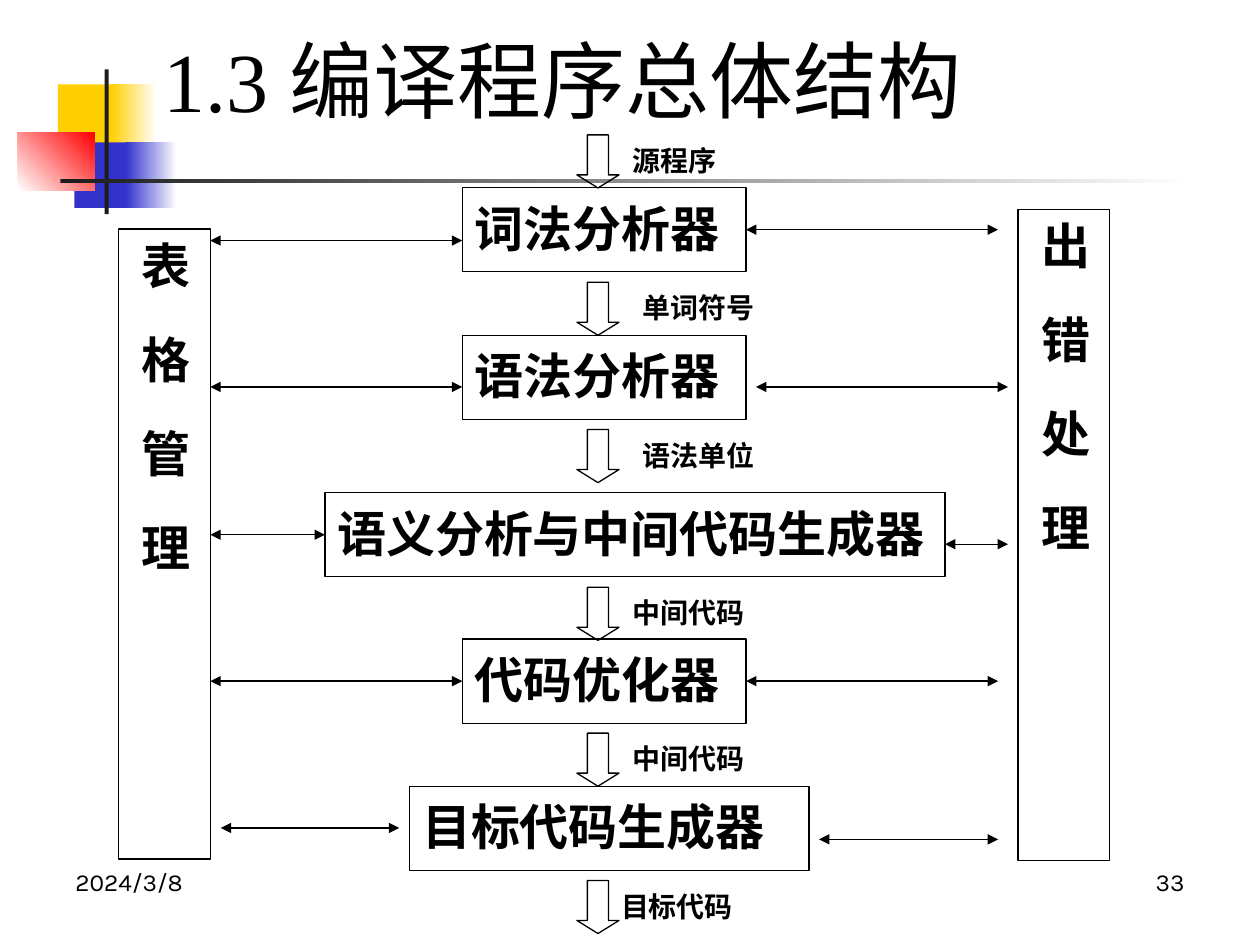
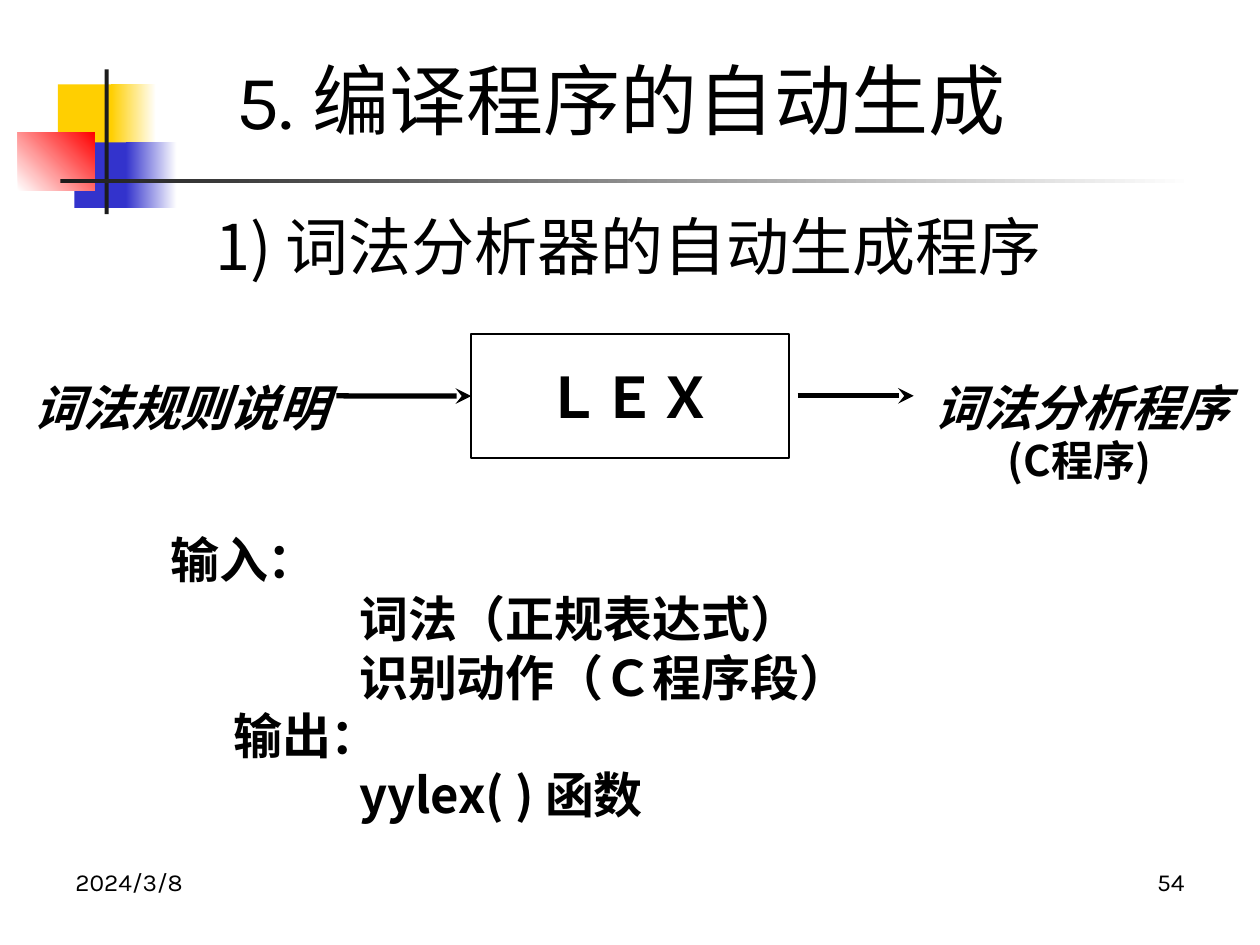
from dataclasses import dataclass

from lxml import etree
from pptx import Presentation
from pptx.dml.color import RGBColor
from pptx.enum.shapes import MSO_CONNECTOR, MSO_SHAPE
from pptx.enum.text import MSO_ANCHOR, PP_ALIGN
from pptx.oxml.ns import qn
from pptx.util import Cm, Pt

RECT, DOWN = MSO_SHAPE.RECTANGLE, MSO_SHAPE.DOWN_ARROW
LINE = MSO_CONNECTOR.STRAIGHT
TOP, MID = MSO_ANCHOR.TOP, MSO_ANCHOR.MIDDLE
LEFT, CENTER, RIGHT = PP_ALIGN.LEFT, PP_ALIGN.CENTER, PP_ALIGN.RIGHT


@dataclass(frozen=True)
class Theme:
    """Colours, fonts and type sizes of the deck."""
    ink: str = "000000"
    bar: str = "1C1C1C"
    gold: str = "FFCF01"
    blue: str = "3333CC"
    red: str = "FF0000"
    white: str = "FFFFFF"
    serif: str = "Times New Roman"
    sans: str = "Karla"
    han: str = "Noto Sans CJK SC"
    head: int = 48
    title: int = 44
    lead: int = 36
    tool: int = 32
    box: int = 28
    note: int = 24
    label: int = 16
    foot: int = 14
    pitch: float = 1.29
    tight: float = 1.2


class Deck:
    """Holds the style and the slide being drawn."""

    def __init__(self, theme):
        """Open an empty deck."""
        self.look = theme
        self.file = Presentation()
        self.file.slide_width, self.file.slide_height = Cm(25.4), Cm(19.05)
        self.page = None

    def start(self, num):
        """Add a slide with the shared bands and footer."""
        look = self.look
        self.page = self.file.slides.add_slide(self.file.slide_layouts[6])
        bands = [
            ((1.17, 1.7, 1.22, 1.32), (look.gold,), 0),
            ((2.24, 1.7, 0.91, 1.32), (look.gold, look.white), 0),
            ((1.5, 2.87, 1.17, 1.32), (look.blue,), 0),
            ((2.54, 2.87, 1.02, 1.32), (look.blue, look.white), 0),
            ((0.36, 2.67, 1.55, 1.17), (look.white, look.red), 45),
            ((2.11, 1.4, 0.08, 2.92), (look.bar,), 0),
            ((1.22, 3.61, 22.86, 0.08), (look.bar, look.white), 0),
        ]
        for area, tones, angle in bands:
            self.band(area, tones, angle)
        form = {"name": look.sans, "size": look.foot}
        self.text((1.27, 17.35, 5.92, 1.32), ["2024/3/8"], form)
        self.text((18.21, 17.35, 5.92, 1.32), [num], form, align=RIGHT)

    def band(self, area, tones, angle):
        """Draw a plain or fading block."""
        block = self.shape(RECT, area)
        block.line.fill.background()
        if len(tones) == 1:
            block.fill.solid()
            block.fill.fore_color.rgb = RGBColor.from_string(tones[0])
            return
        block.fill.gradient()
        block.fill.gradient_angle = angle
        for stop, tone in zip(block.fill.gradient_stops, tones):
            stop.color.rgb = RGBColor.from_string(tone)

    def shape(self, kind, area, width=0.75):
        """Draw an outlined shape without fill."""
        item = self.page.shapes.add_shape(kind, *map(Cm, area))
        item.shadow.inherit = False
        item.fill.background()
        item.line.color.rgb = RGBColor.from_string(self.look.ink)
        item.line.width = Pt(width)
        return item

    def text(self, area, lines, form, **more):
        """Add a text box."""
        item = self.page.shapes.add_textbox(*map(Cm, area))
        self.put(item, lines, form, **more)

    def put(self, item, lines, form, align=LEFT, anchor=TOP, pitch=None,
            gap=0, shifts=(0,)):
        """Fill a shape with paragraphs."""
        frame = item.text_frame
        frame.word_wrap, frame.vertical_anchor = True, anchor
        for i, words in enumerate(lines):
            para = frame.add_paragraph() if i else frame.paragraphs[0]
            para.alignment = align
            if pitch:
                para.line_spacing = Pt(round(form["size"] * pitch, 1))
            if shifts[i]:
                props = para._p.get_or_add_pPr()
                props.set("marL", str(Cm(shifts[i])))
                props.set("indent", "0")
            run = para.add_run()
            run.text = words
            for key, value in {**form, "size": Pt(form["size"])}.items():
                setattr(run.font, key, value)
            run.font.color.rgb = RGBColor.from_string(self.look.ink)
            props = run._r.get_or_add_rPr()
            if gap:
                props.set("spc", str(gap))
            etree.SubElement(props, qn("a:ea")).set("typeface", self.look.han)

    def box(self, area, words, form, width=0.75, **more):
        """Draw a captioned rectangle."""
        item = self.shape(RECT, area, width)
        self.put(item, [words], form, **more)
        return item

    def pillar(self, area, words):
        """Draw a tall box with spaced vertical text."""
        form = {"name": self.look.han, "size": self.look.box, "bold": True}
        item = self.box(area, words, form, anchor=MID, gap=2570)
        item.text_frame._txBody.bodyPr.set("vert", "eaVert")

    def arrow(self, x1, x2, y, ends, width=0.75, begin=None, end=None):
        """Draw a level arrow, joined to a box where one is given."""
        item = self.page.shapes.add_connector(
            LINE, Cm(x1), Cm(y), Cm(x2), Cm(y))
        item.line.color.rgb = RGBColor.from_string(self.look.ink)
        item.line.width = Pt(width)
        line = item.line._get_or_add_ln()
        for tag, kind in ends.items():
            etree.SubElement(line, qn(f"a:{tag}")).set("type", kind)
        etree.SubElement(item._element.spPr, qn("a:effectLst"))
        if begin:
            item.begin_connect(begin, 3)
        if end:
            item.end_connect(end, 1)

    def flow(self, top, left, words):
        """Draw a block arrow with its label."""
        item = self.shape(DOWN, (11.63, top, 0.85, 1.07))
        item.adjustments[0], item.adjustments[1] = 0.5, 0.31
        form = {"name": self.look.serif, "size": self.look.label, "bold": True}
        self.text((left, top, 3.38, 0.85), [words], form,
                  pitch=self.look.pitch)


def layout(deck):
    """Build the slide on the structure of a compiler."""
    look = deck.look
    deck.start("33")
    deck.text((3.05, 0.64, 20.47, 1.9), ["1.3 编译程序总体结构"],
              {"name": look.serif, "size": look.head}, anchor=MID)
    deck.pillar((2.39, 4.62, 1.85, 12.7), "表格管理")
    deck.pillar((20.52, 4.22, 1.85, 13.13), "出错处理")
    stages = [
        ("词法分析器", (9.32, 3.78, 5.72),
         (4.24, 9.32, 4.85, False), (15.04, 20.12, 4.63, True)),
        ("语法分析器", (9.32, 6.76, 5.72),
         (4.24, 9.32, 7.8, False), (15.24, 20.32, 7.8, False)),
        ("语义分析与中间代码生成器", (6.55, 9.93, 12.5),
         (4.24, 6.55, 10.78, True), (19.05, 20.32, 10.97, False)),
        ("代码优化器", (9.32, 12.88, 5.72),
         (4.24, 9.32, 13.73, True), (15.04, 20.12, 13.73, True)),
        ("目标代码生成器", (8.26, 15.85, 8.05),
         (4.45, 8.05, 16.69, False), (16.51, 20.12, 16.92, False)),
    ]
    form = {"name": look.serif, "size": look.box, "bold": True}
    ends = {"headEnd": "triangle", "tailEnd": "triangle"}
    for words, place, west, east in stages:
        item = deck.box((*place, 1.7), words, form, pitch=look.pitch)
        deck.arrow(*west[:3], ends, end=item if west[3] else None)
        deck.arrow(*east[:3], ends, begin=item if east[3] else None)
    flows = [
        (2.72, 12.5, "源程序"), (5.69, 12.7, "单词符号"),
        (8.66, 12.7, "语法单位"), (11.84, 12.5, "中间代码"),
        (14.78, 12.5, "中间代码"), (17.75, 12.27, "目标代码"),
    ]
    for flow in flows:
        deck.flow(*flow)


def lexer(deck):
    """Build the slide on generating a lexer."""
    look = deck.look
    deck.start("54")
    deck.text((4.52, 1.12, 19.56, 1.75), ["5. 编译程序的自动生成"],
              {"name": look.sans, "size": look.title}, anchor=MID)
    deck.text((4.09, 3.94, 18.19, 1.9), ["1) 词法分析器的自动生成程序"],
              {"name": look.han, "size": look.lead}, pitch=look.pitch)
    bold = {"name": look.serif, "size": look.tool, "bold": True}
    tool = deck.box((9.5, 6.73, 6.4, 2.51), "ＬＥＸ", bold, width=1,
                    align=CENTER, anchor=MID)
    ends = {"tailEnd": "stealth"}
    deck.arrow(6.78, 9.5, 7.98, ends, width=3, end=tool)
    deck.arrow(16.08, 18.42, 7.98, ends, width=3)
    slant = {**bold, "size": look.box, "italic": True}
    for left, width, words in [(0.43, 8.74, "词法规则说明"),
                               (18.59, 6.81, "词法分析程序")]:
        deck.text((left, 7.39, width, 1.45), [words], slant, pitch=look.pitch)
    note = {"name": look.han, "size": look.note, "bold": True}
    deck.text((20.07, 8.56, 4.24, 1.27), ["(C程序)"], note, pitch=look.pitch)
    lines = ["输入：", "词法（正规表达式）", "识别动作（Ｃ程序段）",
             "输出：", "yylex( ) 函数"]
    deck.text((3.18, 10.55, 15.29, 6.2), lines, {**note, "size": look.box},
              pitch=look.tight, shifts=(0, 3.81, 3.81, 1.27, 3.81))


def main():
    """Build and save the deck."""
    deck = Deck(Theme())
    layout(deck)
    lexer(deck)
    deck.file.save("out.pptx")


if __name__ == "__main__":
    main()
